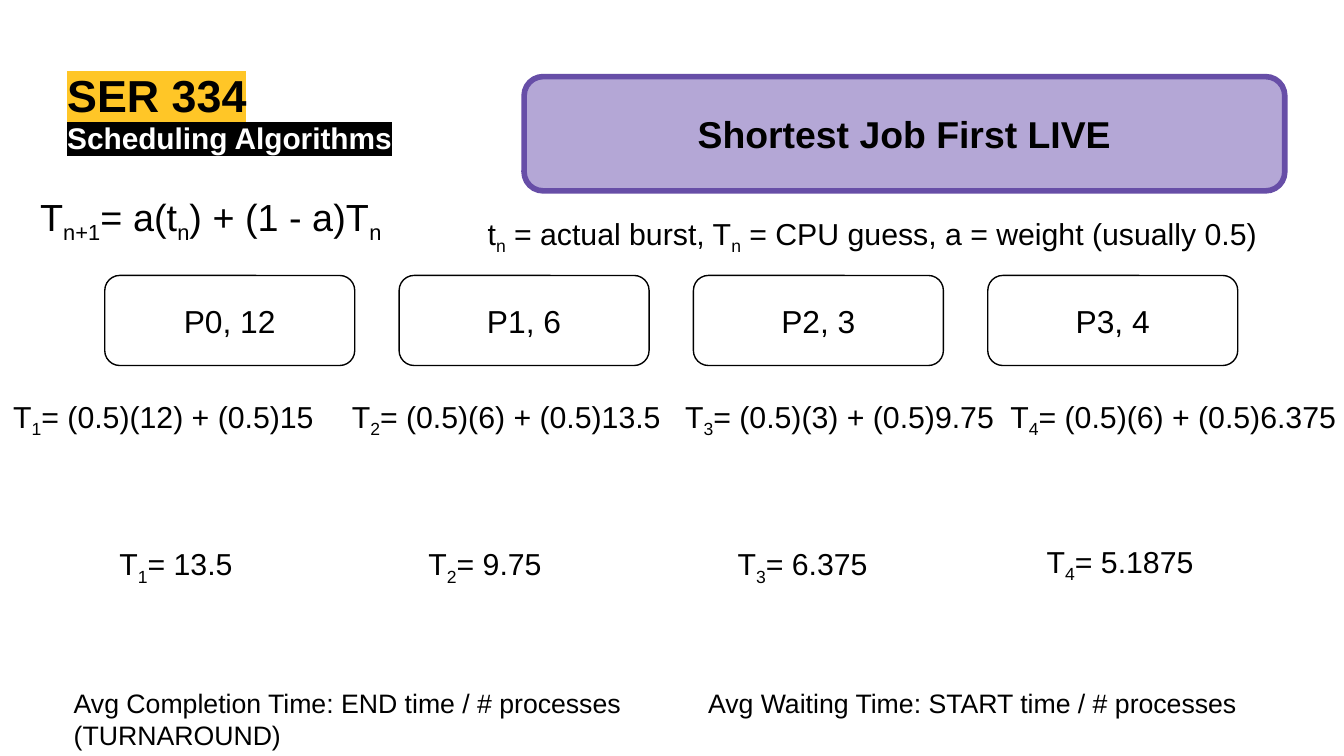
from dataclasses import dataclass

from lxml import etree
from pptx import Presentation
from pptx.dml.color import RGBColor
from pptx.enum import shapes, text
from pptx.oxml.ns import qn
from pptx.util import Inches, Pt

BLACK, WHITE = "000000", "FFFFFF"
GOLD, LILAC, PURPLE = "FFC627", "B4A7D6", "674EA7"
MARGIN = 0.1


@dataclass
class Style:
    size: float
    color: str = BLACK
    bold: bool = False
    highlight: str = ""


@dataclass
class Label:
    content: str
    left: float
    top: float
    width: float
    height: float
    style: Style
    margin: float = MARGIN
    grow: bool = False


@dataclass
class Process:
    """One job, with its burst guess worked out below it."""
    burst: str
    working: str
    working_left: float
    working_width: float
    guess: str
    guess_top: float = 3.96


def rgb(value: str) -> RGBColor:
    return RGBColor.from_string(value)


def apply(target, values: dict) -> None:
    for name, value in values.items():
        setattr(target, name, value)


def write(frame, content: str, style: Style, margin: float = MARGIN,
          align=text.PP_ALIGN.LEFT, anchor=text.MSO_ANCHOR.TOP) -> None:
    """Fill a frame: newlines part paragraphs, and |bars| enclose subscripts."""
    inset = Inches(margin)
    apply(frame, {"word_wrap": True, "vertical_anchor": anchor,
                  "margin_left": inset, "margin_right": inset,
                  "margin_top": inset, "margin_bottom": inset})
    for index, line in enumerate(content.split("\n")):
        paragraph = frame.add_paragraph() if index else frame.paragraphs[0]
        paragraph.alignment = align
        for part, words in enumerate(line.split("|")):
            if not words:
                continue
            run = paragraph.add_run()
            run.text = words
            apply(run.font, {"size": Pt(style.size), "bold": style.bold,
                             "name": "Arial"})
            run.font.color.rgb = rgb(style.color)
            properties = run.font._element
            if part % 2:
                properties.set("baseline", "-25000")
            if style.highlight:
                mark = etree.Element(qn("a:highlight"))
                etree.SubElement(mark, qn("a:srgbClr"), val=style.highlight)
                properties.find(qn("a:solidFill")).addnext(mark)


def add_label(slide, label: Label) -> None:
    box = slide.shapes.add_textbox(Inches(label.left), Inches(label.top),
                                   Inches(label.width), Inches(label.height))
    write(box.text_frame, label.content, label.style, label.margin)
    if label.grow:
        box.text_frame.auto_size = text.MSO_AUTO_SIZE.SHAPE_TO_FIT_TEXT


def add_card(slide, content: str, left: float, top: float, width: float,
             height: float, style: Style, fill: str, line: str,
             line_width: float) -> None:
    card = slide.shapes.add_shape(
        shapes.MSO_SHAPE.ROUNDED_RECTANGLE,
        Inches(left), Inches(top), Inches(width), Inches(height))
    card.shadow.inherit = False
    card.fill.solid()
    card.fill.fore_color.rgb = rgb(fill)
    card.line.color.rgb = rgb(line)
    card.line.width = Pt(line_width)
    write(card.text_frame, content, style, align=text.PP_ALIGN.CENTER,
          anchor=text.MSO_ANCHOR.MIDDLE)


FORMULA = Style(16.25)
FOOTER = Style(14.25)

LABELS = [
    Label("SER 334", 0.5, 0.5, 4.85, 0.39,
          Style(24, bold=True, highlight=GOLD), margin=0),
    Label("Scheduling Algorithms", 0.5, 0.89, 6.51, 0.29,
          Style(16, WHITE, bold=True, highlight=BLACK), margin=0),
    Label("T|n+1|= a(t|n|) + (1 - a)T|n|", 0.2, 1.34, 3.12, 0.54,
          Style(20.25), grow=True),
    Label("t|n| = actual burst, T|n| = CPU guess, a = weight (usually 0.5)",
          3.53, 1.5, 6.27, 0.48, FORMULA, grow=True),
    Label("Avg Completion Time: END time / # processes\n(TURNAROUND)",
          0.45, 5.01, 4.55, 0.46, FOOTER),
    Label("Avg Waiting Time: START time / # processes",
          5.17, 5.01, 4.55, 0.46, FOOTER),
]

PROCESSES = [
    Process("12", "(0.5)(12) + (0.5)15", 0, 2.62, "13.5"),
    Process("6", "(0.5)(6) + (0.5)13.5", 2.52, 2.76, "9.75"),
    Process("3", "(0.5)(3) + (0.5)9.75", 5, 2.76, "6.375"),
    Process("4", "(0.5)(6) + (0.5)6.375", 7.42, 2.76, "5.1875", 3.94),
]
CARD_LEFT, CARD_STEP = 0.78, 2.19
GUESS_LEFT, GUESS_STEP = 0.79, 2.3


def add_process(slide, index: int, process: Process) -> None:
    add_card(slide, f"P{index}, {process.burst}",
             CARD_LEFT + index * CARD_STEP, 2.05, 1.86, 0.67,
             Style(17), WHITE, BLACK, 0.75)
    term = f"T|{index + 1}|= "
    add_label(slide, Label(term + process.working, process.working_left, 2.86,
                           process.working_width, 0.48, FORMULA, grow=True))
    add_label(slide, Label(term + process.guess,
                           GUESS_LEFT + index * GUESS_STEP, process.guess_top,
                           1.34, 0.48, FORMULA, grow=True))


def main() -> None:
    deck = Presentation()
    width = Inches(10)
    apply(deck, {"slide_width": width, "slide_height": width * 9 // 16})
    slide = deck.slides.add_slide(deck.slide_layouts[6])
    for label in LABELS:
        add_label(slide, label)
    add_card(slide, "Shortest Job First LIVE", 3.9, 0.57, 5.66, 0.85,
             Style(20, bold=True), LILAC, PURPLE, 3)
    for index, process in enumerate(PROCESSES):
        add_process(slide, index, process)
    deck.save("out.pptx")


if __name__ == "__main__":
    main()
